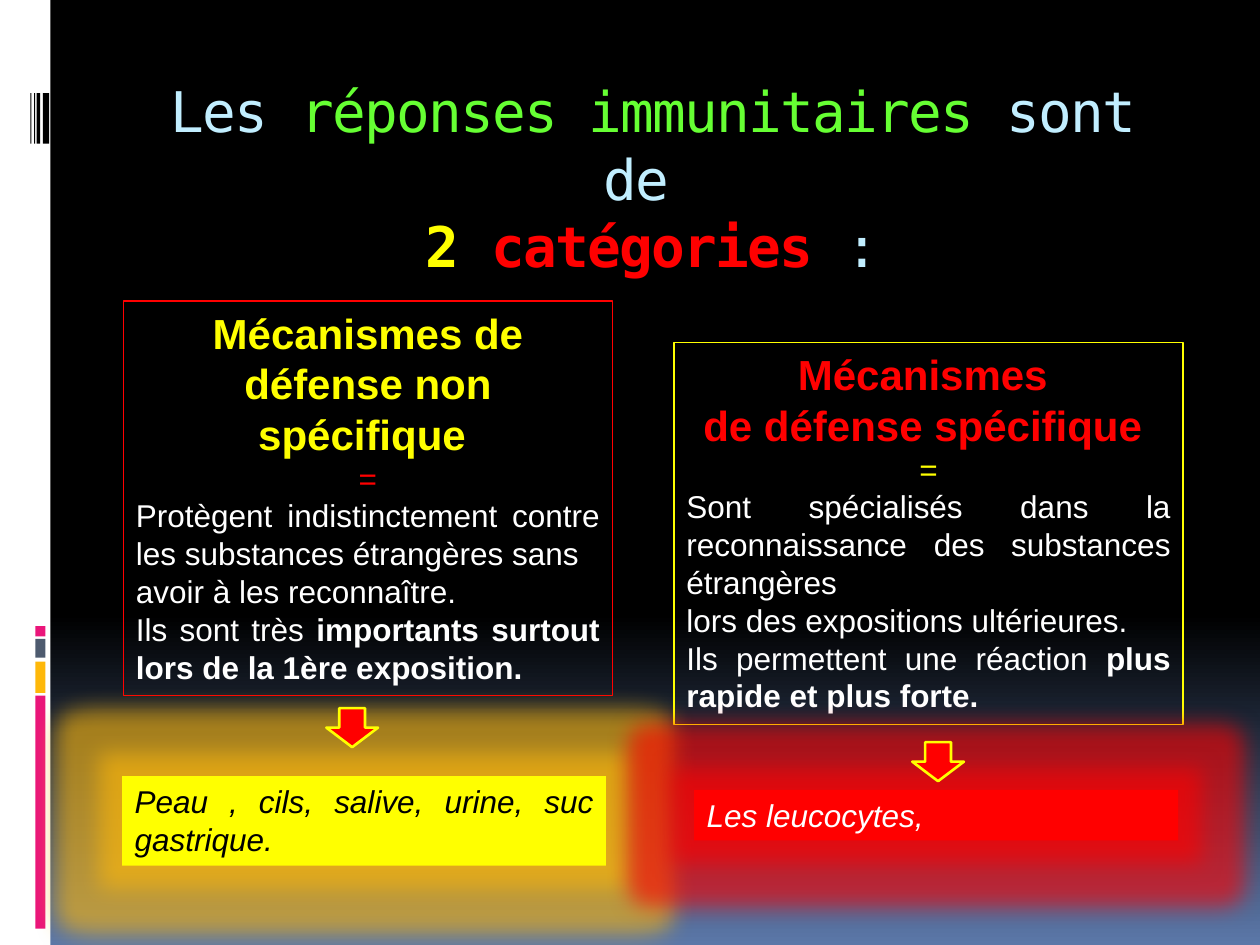
from dataclasses import dataclass

from lxml.etree import SubElement
from pptx import Presentation
from pptx.dml.color import RGBColor
from pptx.enum.shapes import MSO_SHAPE
from pptx.enum.text import MSO_ANCHOR, MSO_AUTO_SIZE, PP_ALIGN
from pptx.oxml.ns import qn
from pptx.util import Inches, Pt

COLORS = {
    "black": "000000", "white": "FFFFFF", "slate": "5B77A8", "stone": "4E5B6F",
    "pink": "EA157A", "amber": "FEB80A", "ice": "C1EEFF", "green": "66FF33",
    "yellow": "FFFF00", "red": "FF0000",
}


@dataclass
class Box:
    left: float
    top: float
    width: float
    height: float


@dataclass
class Span:
    text: str
    color: str
    bold: bool = False


@dataclass
class Line:
    spans: list[Span]
    size: float = 18
    align: PP_ALIGN = PP_ALIGN.JUSTIFY
    italic: bool = False
    font: str = "Arial"


@dataclass
class Category:
    frame: Box
    border: str
    lines: list[Line]
    arrow: Box
    example_frame: Box
    example: Line
    example_fill: str
    glow: str


def rgb(name: str) -> RGBColor:
    """Return the named palette colour."""
    return RGBColor.from_string(COLORS[name])


def heading(text: str, color: str) -> Line:
    """Return a centred bold heading line."""
    return Line([Span(text, color, True)], 24, PP_ALIGN.CENTER)


def equals(color: str) -> Line:
    """Return the centred equals sign under a heading."""
    return Line([Span("=", color)], align=PP_ALIGN.CENTER)


def body(plain: str, strong: str = "") -> Line:
    """Return a white justified line with an optional bold ending."""
    ending = [Span(strong, "white", True)] if strong else []
    return Line([Span(plain, "white"), *ending])


def draw_shape(slide, box: Box, fill=None, border=None, weight=0.75, kind=MSO_SHAPE.RECTANGLE):
    """Draw a preset shape without shadow."""
    shape = slide.shapes.add_shape(
        kind, Inches(box.left), Inches(box.top), Inches(box.width), Inches(box.height))
    shape.shadow.inherit = False
    if fill:
        shape.fill.solid()
        shape.fill.fore_color.rgb = rgb(fill)
    else:
        shape.fill.background()
    if border:
        shape.line.color.rgb = rgb(border)
        shape.line.width = Pt(weight)
    else:
        shape.line.fill.background()
    return shape


def write_lines(frame, lines: list[Line]) -> None:
    """Write styled paragraphs into a text frame from the top."""
    frame.word_wrap = True
    frame.vertical_anchor = MSO_ANCHOR.TOP
    for index, line in enumerate(lines):
        paragraph = frame.add_paragraph() if index else frame.paragraphs[0]
        paragraph.alignment = line.align
        paragraph.font.name = line.font
        paragraph.font.size = Pt(line.size)
        paragraph.font.italic = line.italic
        for span in line.spans:
            if span.text == "\n":
                paragraph.add_line_break()
                continue
            run = paragraph.add_run()
            run.text = span.text
            run.font.color.rgb = rgb(span.color)
            run.font.bold = span.bold


def add_glow(shape, color: str, radius: float) -> None:
    """Surround a shape with a translucent glow."""
    effects = shape.element.spPr.find(qn("a:effectLst"))
    glow = SubElement(effects, qn("a:glow"), rad=str(Inches(radius)))
    tint = SubElement(glow, qn("a:srgbClr"), val=COLORS[color])
    SubElement(tint, qn("a:alpha"), val="60000")


def draw_category(slide, category: Category) -> None:
    """Draw a definition box, its arrow and its glowing example."""
    definition = draw_shape(slide, category.frame, border=category.border)
    write_lines(definition.text_frame, category.lines)
    example = draw_shape(slide, category.example_frame, category.example_fill)
    add_glow(example, category.glow, 0.36)
    write_lines(example.text_frame, [category.example])
    draw_shape(slide, category.arrow, "red", "yellow", 1.5, MSO_SHAPE.DOWN_ARROW)


def draw_background(slide) -> None:
    """Fill the slide with a vertical fade from black to slate."""
    fill = slide.background.fill
    fill.gradient()
    fill.gradient_angle = 270
    for stop, color, position in zip(fill.gradient_stops, ("black", "slate"), (0.65, 1)):
        stop.color.rgb = rgb(color)
        stop.position = position


def draw_title(slide, box: Box, line: Line) -> None:
    """Place and write the title."""
    title = slide.shapes.title
    title.left, title.top = Inches(box.left), Inches(box.top)
    title.width, title.height = Inches(box.width), Inches(box.height)
    title.text_frame.auto_size = MSO_AUTO_SIZE.NONE
    write_lines(title.text_frame, [line])
    for run in title.text_frame.paragraphs[0].runs:
        run.font._element.set("spc", "-100")


SIDEBAR = [
    (Box(0, 0, 0.4, 7.5), "white"),
    (Box(0.28, 5.52, 0.08, 1.85), "pink"),
    (Box(0.28, 5.25, 0.08, 0.25), "amber"),
    (Box(0.28, 5.07, 0.08, 0.15), "stone"),
    (Box(0.28, 4.97, 0.08, 0.08), "pink"),
    *((Box(left, 0.74, width, 0.4), "black")
      for left, width in ((0.34, 0.05), (0.29, 0.03), (0.27, 0.01), (0.24, 0.01))),
]

TITLE = Line([
    Span("Les ", "ice"), Span("réponses immunitaires ", "green"),
    Span("sont de ", "ice"), Span("\n", "ice"), Span("2 ", "yellow", True),
    Span("catégories ", "red", True), Span(":", "ice"),
], 32, PP_ALIGN.CENTER, font="DejaVu Sans Mono")

CATEGORIES = [
    Category(
        Box(0.98, 2.39, 3.88, 3.13), "red",
        [heading("Mécanismes de défense non spécifique ", "yellow"),
         equals("red"),
         body("Protègent indistinctement contre les substances étrangères sans"),
         body("avoir à les reconnaître."),
         body("Ils sont très ", "importants surtout lors de la 1ère exposition.")],
        Box(2.59, 5.62, 0.41, 0.31), Box(0.97, 6.16, 3.84, 0.71),
        Line([Span("Peau , cils, salive, urine, suc gastrique.", "black")], italic=True),
        "yellow", "amber"),
    Category(
        Box(5.35, 2.72, 4.04, 3.03), "yellow",
        [heading("Mécanismes ", "red"),
         heading("de défense spécifique ", "red"),
         equals("yellow"),
         body("Sont spécialisés dans la reconnaissance des substances étrangères"),
         body("lors des expositions ultérieures."),
         body("Ils permettent une réaction ", "plus rapide et plus forte.")],
        Box(7.24, 5.89, 0.41, 0.31), Box(5.51, 6.27, 3.84, 0.4),
        Line([Span("Les leucocytes, ", "white")], italic=True),
        "red", "red"),
]


def main() -> None:
    """Build and save the slide."""
    deck = Presentation()
    deck.slide_width, deck.slide_height = Inches(10), Inches(7.5)
    slide = deck.slides.add_slide(deck.slide_layouts[5])
    draw_background(slide)
    for box, color in SIDEBAR:
        draw_shape(slide, box, color)
    draw_title(slide, Box(1, 0.56, 8.36, 1.21), TITLE)
    for category in CATEGORIES:
        draw_category(slide, category)
    deck.save("out.pptx")


if __name__ == "__main__":
    main()
